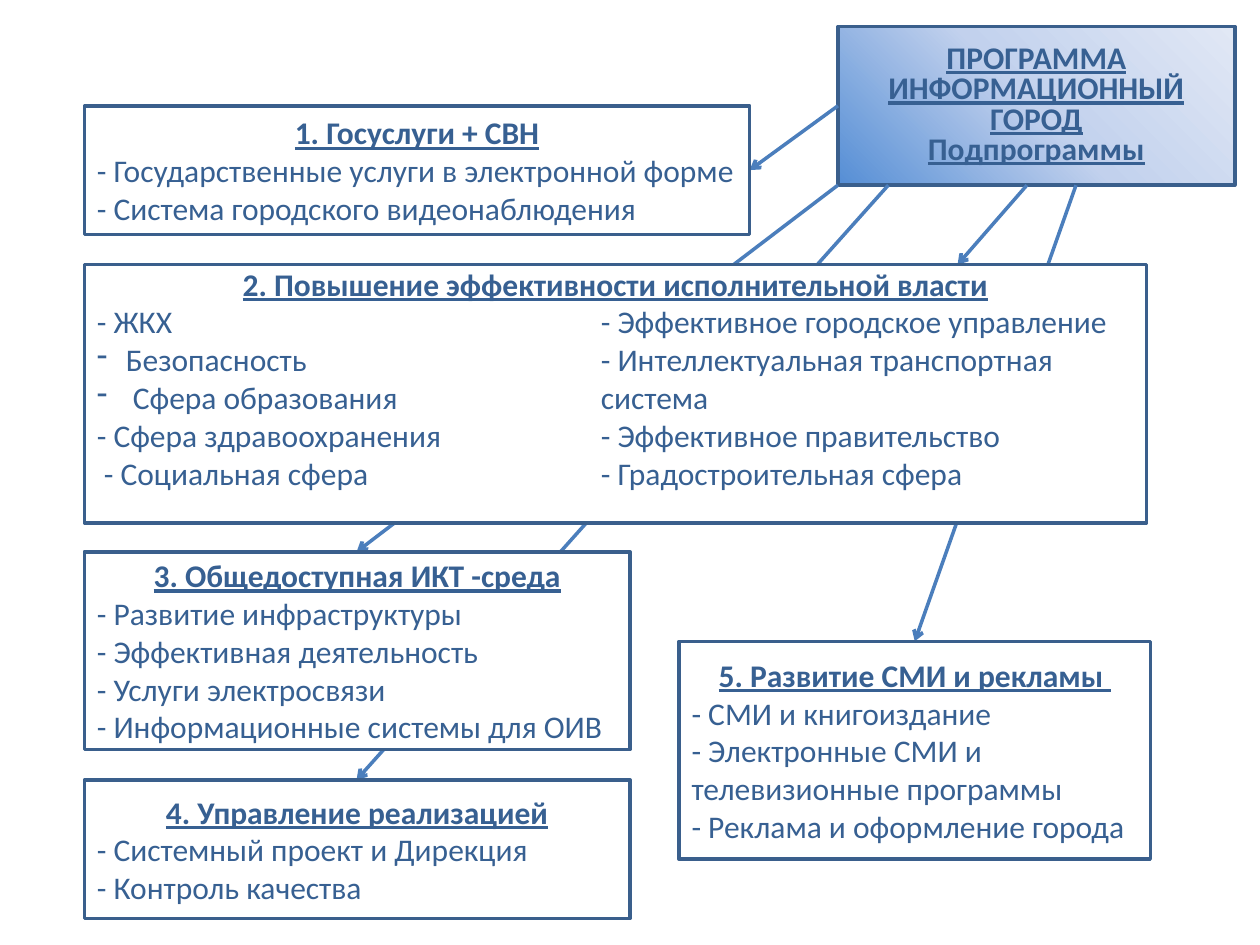
from copy import deepcopy
from dataclasses import dataclass

from lxml import etree
from pptx import Presentation
from pptx.dml.color import RGBColor
from pptx.enum.shapes import MSO_CONNECTOR, MSO_SHAPE
from pptx.enum.text import MSO_ANCHOR, MSO_AUTO_SIZE, PP_ALIGN
from pptx.oxml.ns import qn
from pptx.util import Inches, Pt

STRAIGHT = MSO_CONNECTOR.STRAIGHT
RECTANGLE = MSO_SHAPE.RECTANGLE
TOP, MIDDLE = MSO_ANCHOR.TOP, MSO_ANCHOR.MIDDLE
LEFT, CENTER = PP_ALIGN.LEFT, PP_ALIGN.CENTER
NO_AUTOFIT = MSO_AUTO_SIZE.NONE
TITLE_ONLY = 5

COLORS = {
    "text": "376092",
    "border": "3A5F8C",
    "arrow": "4B7EBC",
    "box": "FFFFFF",
}
PROGRAM_GRADIENT = [(0, "558ED5"), (0.5, "C2D1ED"), (1, "E1E8F5")]
FONT = "Calibri"
FONT_SIZE = Pt(18)
LINE_WIDTH = Pt(2)
BULLET_INDENT = Inches(0.23)
COLUMN_TAB = Inches(4)


@dataclass
class Box:
    left: float
    top: float
    width: float
    height: float
    heading: str
    items: list[str]
    bulleted: tuple[int, ...] = ()
    two_columns: bool = False


@dataclass
class Arrow:
    start: tuple[float, float]
    end: tuple[float, float]


PROGRAM_LEFT, PROGRAM_TOP, PROGRAM_WIDTH, PROGRAM_HEIGHT = 6.65, 0.21, 3.15, 1.26
PROGRAM_BOTTOM = PROGRAM_TOP + PROGRAM_HEIGHT

BOXES = [
    Box(0.67, 0.84, 5.28, 1.02, "1. Госуслуги + СВН", [
        "- Государственные услуги в электронной форме",
        "- Система городского видеонаблюдения",
    ]),
    Box(0.67, 2.1, 8.43, 2.05, "2. Повышение эффективности исполнительной власти", [
        "- ЖКХ\t- Эффективное городское управление",
        "Безопасность\t- Интеллектуальная транспортная",
        " Сфера образования\tсистема",
        "- Сфера здравоохранения\t- Эффективное правительство",
        " - Социальная сфера\t- Градостроительная сфера",
    ], bulleted=(1, 2), two_columns=True),
    Box(0.67, 4.38, 4.33, 1.57, "3. Общедоступная ИКТ -среда", [
        "- Развитие инфраструктуры",
        "- Эффективная деятельность",
        "- Услуги электросвязи",
        "- Информационные системы для ОИВ",
    ]),
    Box(0.67, 6.19, 4.33, 1.1, "4. Управление реализацией", [
        "- Системный проект и Дирекция",
        "- Контроль качества",
    ]),
    Box(5.39, 5.09, 3.74, 1.73, "5. Развитие СМИ и рекламы ", [
        "- СМИ и книгоиздание",
        "- Электронные СМИ и телевизионные программы",
        "- Реклама и оформление города",
    ]),
]

# From the program to subprograms 5, 4, 3, 1 and 2
ARROWS = [
    Arrow((8.54, PROGRAM_BOTTOM), (7.26, 5.09)),
    Arrow((7.05, PROGRAM_BOTTOM), (2.83, 6.19)),
    Arrow((PROGRAM_LEFT, PROGRAM_BOTTOM), (2.83, 4.38)),
    Arrow((PROGRAM_LEFT, 0.84), (5.95, 1.35)),
    Arrow((8.15, PROGRAM_BOTTOM), (7.6, 2.1)),
]


def color(name: str) -> RGBColor:
    return RGBColor.from_string(COLORS[name])


def format_paragraph(paragraph, heading: bool) -> None:
    paragraph.alignment = CENTER if heading else LEFT
    for run in paragraph.runs:
        font = run.font
        font.name, font.size = FONT, FONT_SIZE
        font.bold = font.underline = heading
        font.color.rgb = color("text")


def set_border(shape) -> None:
    shape.line.color.rgb = color("border")
    shape.line.width = LINE_WIDTH


def add_bullet(paragraph) -> None:
    properties = paragraph._p.get_or_add_pPr()
    properties.set("marL", str(BULLET_INDENT))
    properties.set("indent", str(-BULLET_INDENT))
    etree.SubElement(properties, qn("a:buChar"), char="-")


def add_column_tab(paragraph) -> None:
    tabs = etree.SubElement(paragraph._p.get_or_add_pPr(), qn("a:tabLst"))
    etree.SubElement(tabs, qn("a:tab"), pos=str(COLUMN_TAB), algn="l")


def add_box(slide, box: Box) -> None:
    shape = slide.shapes.add_shape(
        RECTANGLE, Inches(box.left), Inches(box.top), Inches(box.width), Inches(box.height))
    shape.shadow.inherit = False
    shape.fill.solid()
    shape.fill.fore_color.rgb = color("box")
    set_border(shape)

    frame = shape.text_frame
    frame.word_wrap = True
    frame.vertical_anchor = TOP if box.two_columns else MIDDLE
    if box.two_columns:
        frame.margin_top = 0
    frame.text = "\n".join([box.heading, *box.items])
    heading, *items = frame.paragraphs
    format_paragraph(heading, heading=True)
    for index, paragraph in enumerate(items):
        format_paragraph(paragraph, heading=False)
        if index in box.bulleted:
            add_bullet(paragraph)
        if box.two_columns:
            add_column_tab(paragraph)


def add_arrow(slide, arrow: Arrow) -> None:
    points = [Inches(value) for value in (*arrow.start, *arrow.end)]
    connector = slide.shapes.add_connector(STRAIGHT, *points)
    connector.line.color.rgb = color("arrow")
    connector.line.width = LINE_WIDTH
    etree.SubElement(connector.line._get_or_add_ln(), qn("a:tailEnd"), type="arrow")
    etree.SubElement(connector._element.spPr, qn("a:effectLst"))


def fill_program_title(title) -> None:
    title.left, title.top = Inches(PROGRAM_LEFT), Inches(PROGRAM_TOP)
    title.width, title.height = Inches(PROGRAM_WIDTH), Inches(PROGRAM_HEIGHT)
    set_border(title)

    # Three-stop gradient from the lower left to the upper right
    title.fill.gradient()
    title.fill.gradient_angle = 45
    stop_list = title._element.spPr.find(qn("a:gradFill")).find(qn("a:gsLst"))
    stop_list.append(deepcopy(stop_list[-1]))
    for stop, (position, hex_color) in zip(title.fill.gradient_stops, PROGRAM_GRADIENT):
        stop.position = position
        stop.color.rgb = RGBColor.from_string(hex_color)

    frame = title.text_frame
    frame.word_wrap = True
    frame.auto_size = NO_AUTOFIT
    frame.vertical_anchor = MIDDLE
    frame.text = "ПРОГРАММА ИНФОРМАЦИОННЫЙ ГОРОД\nПодпрограммы"
    for paragraph in frame.paragraphs:
        format_paragraph(paragraph, heading=True)
        paragraph.line_spacing = 0.8


def main() -> None:
    presentation = Presentation()
    presentation.slide_width, presentation.slide_height = Inches(10), Inches(7.5)
    slide = presentation.slides.add_slide(presentation.slide_layouts[TITLE_ONLY])

    # Arrows go first so that the boxes cover them
    for arrow in ARROWS:
        add_arrow(slide, arrow)
    for box in BOXES:
        add_box(slide, box)
    fill_program_title(slide.shapes.title)

    presentation.save("out.pptx")


if __name__ == "__main__":
    main()
